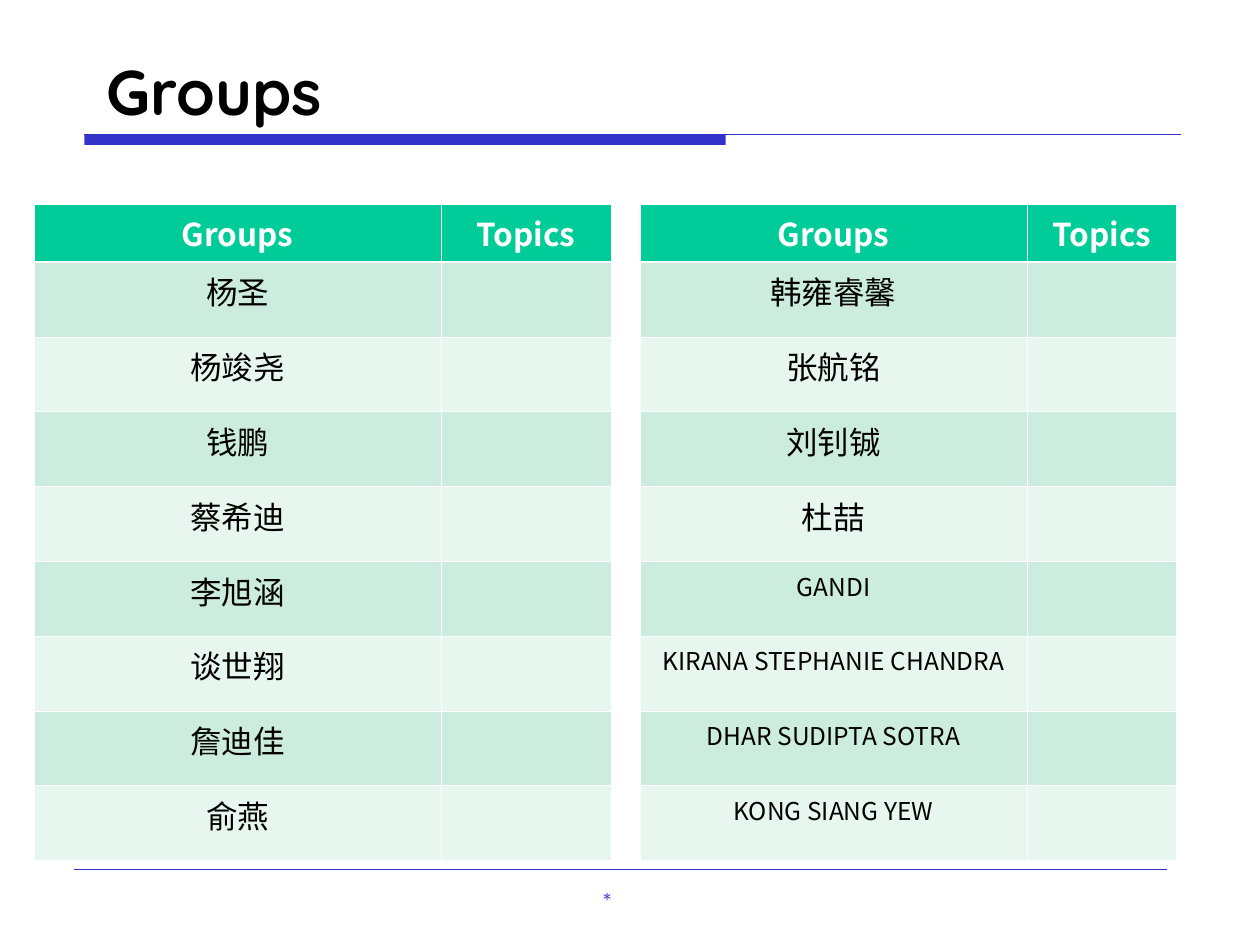
from lxml import etree
from pptx import Presentation
from pptx.dml.color import RGBColor
from pptx.enum.shapes import MSO_CONNECTOR, MSO_SHAPE
from pptx.enum.text import MSO_ANCHOR, PP_ALIGN
from pptx.oxml.ns import qn
from pptx.util import Inches, Pt

STRAIGHT = MSO_CONNECTOR.STRAIGHT
RECT = MSO_SHAPE.RECTANGLE
MIDDLE, TOP = MSO_ANCHOR.MIDDLE, MSO_ANCHOR.TOP
CENTER, LEFT = PP_ALIGN.CENTER, PP_ALIGN.LEFT

BLUE = RGBColor(0x33, 0x33, 0xCC)
GREEN = RGBColor(0x00, 0xCC, 0x99)
MINT = RGBColor(0xCB, 0xEC, 0xDE)
PALE = RGBColor(0xE7, 0xF6, 0xEF)
BLACK = RGBColor(0, 0, 0)
WHITE = RGBColor(0xFF, 0xFF, 0xFF)

HEAD_FONT = "Quicksand"
BODY_FONT = "Noto Sans CJK SC"
THIN, THICK = 0.45, 1.47
HEAD_H = 0.46

LEFT_NAMES = ["杨圣", "杨竣尧", "钱鹏", "蔡希迪", "李旭涵", "谈世翔", "詹迪佳", "俞燕"]
RIGHT_NAMES = ["韩雍睿馨", "张航铭", "刘钊铖", "杜喆", "GANDI",
               "KIRANA STEPHANIE CHANDRA", "DHAR SUDIPTA SOTRA", "KONG SIANG YEW"]


def add_run(para, text, font, size, color, bold=False):
    run = para.add_run()
    run.text = text
    run.font.name = font
    run.font.size = Pt(size)
    run.font.bold = bold
    run.font.color.rgb = color
    east = etree.SubElement(run.font._element, qn("a:ea"))
    east.set("typeface", font)


def add_label(slide, box, text, size, color, bold=False, anchor=TOP, space=0):
    frame = slide.shapes.add_textbox(*map(Inches, box)).text_frame
    frame.word_wrap = True
    frame.vertical_anchor = anchor
    para = frame.paragraphs[0]
    para.alignment = LEFT
    para.space_before = Pt(space)
    add_run(para, text, HEAD_FONT, size, color, bold)


def add_rule(slide, left, top, width, weight):
    rule = slide.shapes.add_connector(
        STRAIGHT, Inches(left), Inches(top), Inches(left + width), Inches(top))
    rule.line.color.rgb = BLUE
    rule.line.width = Pt(weight)
    etree.SubElement(rule._element.spPr, qn("a:effectLst"))


def add_header(slide, left, top, width, height):
    bar = slide.shapes.add_shape(
        RECT, Inches(left), Inches(top), Inches(5.09), Inches(height))
    bar.shadow.inherit = False
    bar.fill.solid()
    bar.fill.fore_color.rgb = BLUE
    bar.line.fill.background()
    add_rule(slide, left, top, width, 0.75)
    add_label(slide, (0.75, 0.36, 8.5, 0.71), "Groups", 36, BLACK, True, MIDDLE)


def add_footer(slide, left, top, width):
    add_rule(slide, left, top, width, 0.25)
    add_label(slide, (4.69, top + 0.08, 0.87, 0.34), "*", 14, BLUE, space=8.8)


def set_edges(cell, top, bottom):
    props = cell._tc.get_or_add_tcPr()
    for side, weight in zip("LRTB", (THIN, THIN, top, bottom)):
        edge = etree.SubElement(props, qn("a:ln" + side), w=str(Pt(weight)))
        fill = etree.SubElement(edge, qn("a:solidFill"))
        etree.SubElement(fill, qn("a:srgbClr"), val=str(WHITE))


def add_roster(slide, left, top, widths, height, names):
    rows = [("Groups", "Topics")] + [(name, "") for name in names]
    table = slide.shapes.add_table(
        len(rows), len(widths), Inches(left), Inches(top),
        Inches(sum(widths)), Inches(height)).table
    for col, width in zip(table.columns, widths):
        col.width = Inches(width)
    for i, texts in enumerate(rows):
        head = i == 0
        table.rows[i].height = Inches(HEAD_H if head else (height - HEAD_H) / len(names))
        for j, text in enumerate(texts):
            cell = table.cell(i, j)
            set_edges(cell, THICK if i == 1 else THIN, THICK if head else THIN)
            cell.fill.solid()
            cell.fill.fore_color.rgb = GREEN if head else MINT if i % 2 else PALE
            para = cell.text_frame.paragraphs[0]
            para.alignment = CENTER
            if text:
                size = 14 if text.isupper() else 18
                add_run(para, text, BODY_FONT, size, WHITE if head else BLACK, head)


def main():
    deck = Presentation()
    deck.slide_width, deck.slide_height = Inches(10), Inches(7.5)
    slide = deck.slides.add_slide(deck.slide_layouts[6])
    add_header(slide, 0.67, 1.07, 8.7, 0.08)
    add_footer(slide, 0.59, 6.9, 8.67)
    add_roster(slide, 0.27, 1.62, (3.23, 1.35), 5.21, LEFT_NAMES)
    add_roster(slide, 5.08, 1.62, (3.07, 1.19), 5.21, RIGHT_NAMES)
    deck.save("out.pptx")


if __name__ == "__main__":
    main()
